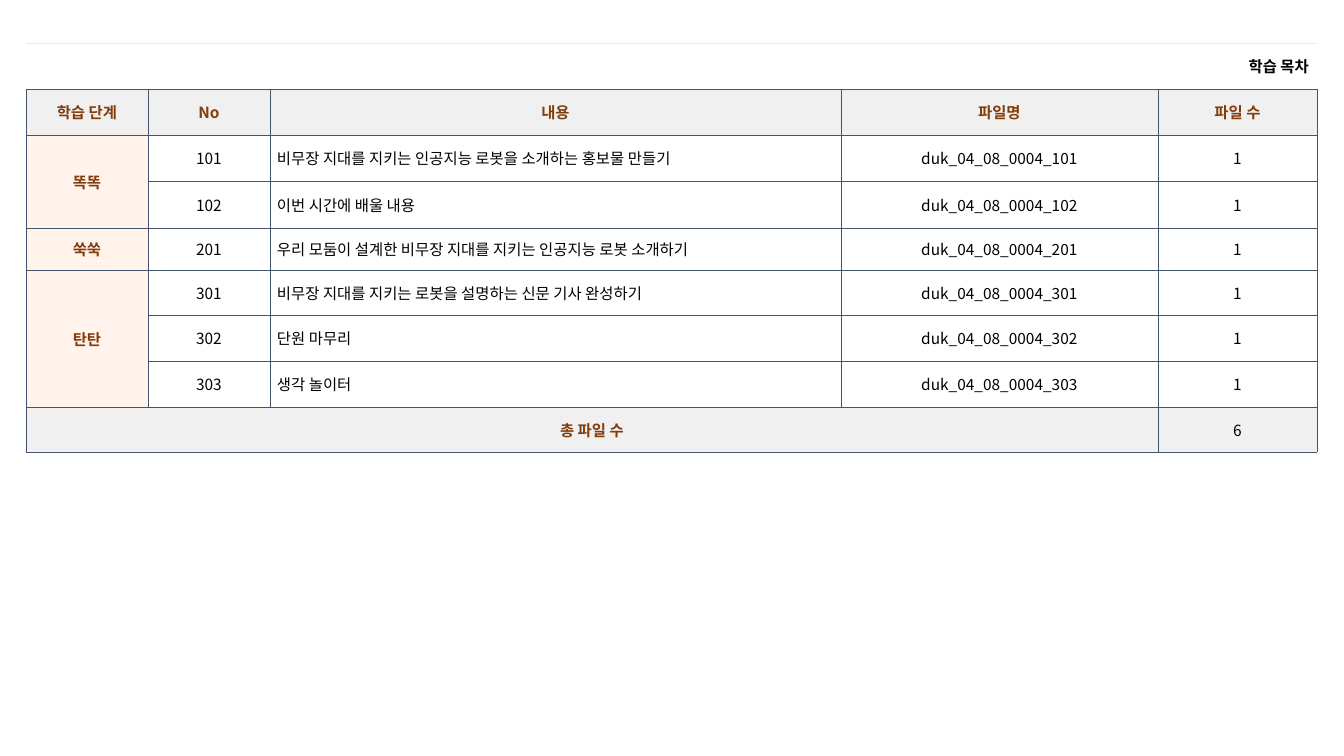
"""Build the lesson contents slide: one table of stages, topics and file names."""
from lxml.etree import SubElement
from pptx import Presentation
from pptx.dml.color import RGBColor
from pptx.enum.text import MSO_ANCHOR, PP_ALIGN
from pptx.oxml.ns import qn
from pptx.util import Pt

EMU_PER_PX = 914400 / 100.8
FONT = "Noto Sans CJK KR"
BLACK = RGBColor(0x00, 0x00, 0x00)
WHITE = RGBColor(0xFF, 0xFF, 0xFF)
BROWN = RGBColor(0x84, 0x3C, 0x0B)
GRAY = RGBColor(0xF1, 0xF0, 0xF0)
CREAM = RGBColor(0xFF, 0xF3, 0xEB)
PEACH = RGBColor(0xFB, 0xE5, 0xD6)
SLATE = RGBColor(0x44, 0x54, 0x6A)

CAPTION = "학습 목차"
HEADINGS = ["학습 단계", "No", "내용", "파일명", "파일 수"]
STAGES = [
    ("똑똑", [(101, "비무장 지대를 지키는 인공지능 로봇을 소개하는 홍보물 만들기"),
            (102, "이번 시간에 배울 내용")]),
    ("쑥쑥", [(201, "우리 모둠이 설계한 비무장 지대를 지키는 인공지능 로봇 소개하기")]),
    ("탄탄", [(301, "비무장 지대를 지키는 로봇을 설명하는 신문 기사 완성하기"),
            (302, "단원 마무리"),
            (303, "생각 놀이터")]),
]
COLUMN_WIDTHS = [122, 122, 571, 317, 159]
ROW_HEIGHTS = [46, 46, 46, 47, 42, 45, 46, 46, 45]


def px(length):
    return round(length * EMU_PER_PX)


def set_border(cell, side, color, points):
    line = SubElement(cell._tc.get_or_add_tcPr(), qn(f"a:ln{side}"), w=str(Pt(points)))
    if color is None:
        SubElement(line, qn("a:noFill"))
    else:
        SubElement(SubElement(line, qn("a:solidFill")), qn("a:srgbClr"), val=str(color))


prs = Presentation()
prs.slide_width, prs.slide_height = px(1344), px(756)
slide = prs.slides.add_slide(prs.slide_layouts[6])

contents = slide.shapes.add_table(
    len(ROW_HEIGHTS), len(COLUMN_WIDTHS),
    px(26), px(43), px(sum(COLUMN_WIDTHS)), px(sum(ROW_HEIGHTS))).table
contents.first_row = contents.horz_banding = False
for column, width in zip(contents.columns, COLUMN_WIDTHS):
    column.width = px(width)
for row, height in zip(contents.rows, ROW_HEIGHTS):
    row.height = px(height)

rows = [[CAPTION, "", "", "", ""], HEADINGS]
for stage, lessons in STAGES:
    first = len(rows)
    for number, topic in lessons:
        label = stage if len(rows) == first else ""
        rows.append([label, str(number), topic, f"duk_04_08_0004_{number}", "1"])
    if len(lessons) > 1:
        contents.cell(first, 0).merge(contents.cell(len(rows) - 1, 0))
file_count = sum(len(lessons) for stage, lessons in STAGES)
rows.append(["총 파일 수", "", "", "", str(file_count)])
total_row = len(rows) - 1
contents.cell(0, 0).merge(contents.cell(0, 4))
contents.cell(total_row, 0).merge(contents.cell(total_row, 3))

for r, texts in enumerate(rows):
    for c, text in enumerate(texts):
        cell = contents.cell(r, c)
        is_caption = r == 0
        is_label = r == 1 or c == 0
        for side in "LRTB":
            if is_caption and side == "T":
                set_border(cell, side, PEACH, 0.25)
            else:
                set_border(cell, side, None if is_caption and side in "LR" else SLATE, 0.5)
        if is_caption:
            cell.fill.background()
        else:
            cell.fill.solid()
            cell.fill.fore_color.rgb = (
                GRAY if r in (1, total_row) else CREAM if c == 0 else WHITE)
        cell.vertical_anchor = MSO_ANCHOR.MIDDLE
        cell.margin_left = cell.margin_right = px(8 if is_caption else 7)
        cell.margin_top = cell.margin_bottom = px(5)
        if not text:
            continue
        paragraph = cell.text_frame.paragraphs[0]
        paragraph.text = text
        if is_caption:
            paragraph.alignment = PP_ALIGN.RIGHT
        elif c == 2 and not is_label:
            paragraph.alignment = PP_ALIGN.LEFT
        else:
            paragraph.alignment = PP_ALIGN.CENTER
        font = paragraph.runs[0].font
        font.name, font.size, font.bold = FONT, Pt(11), is_label
        font.color.rgb = BROWN if is_label and not is_caption else BLACK
        SubElement(paragraph.runs[0]._r.get_or_add_rPr(), qn("a:ea"), typeface=FONT)

prs.save("out.pptx")
